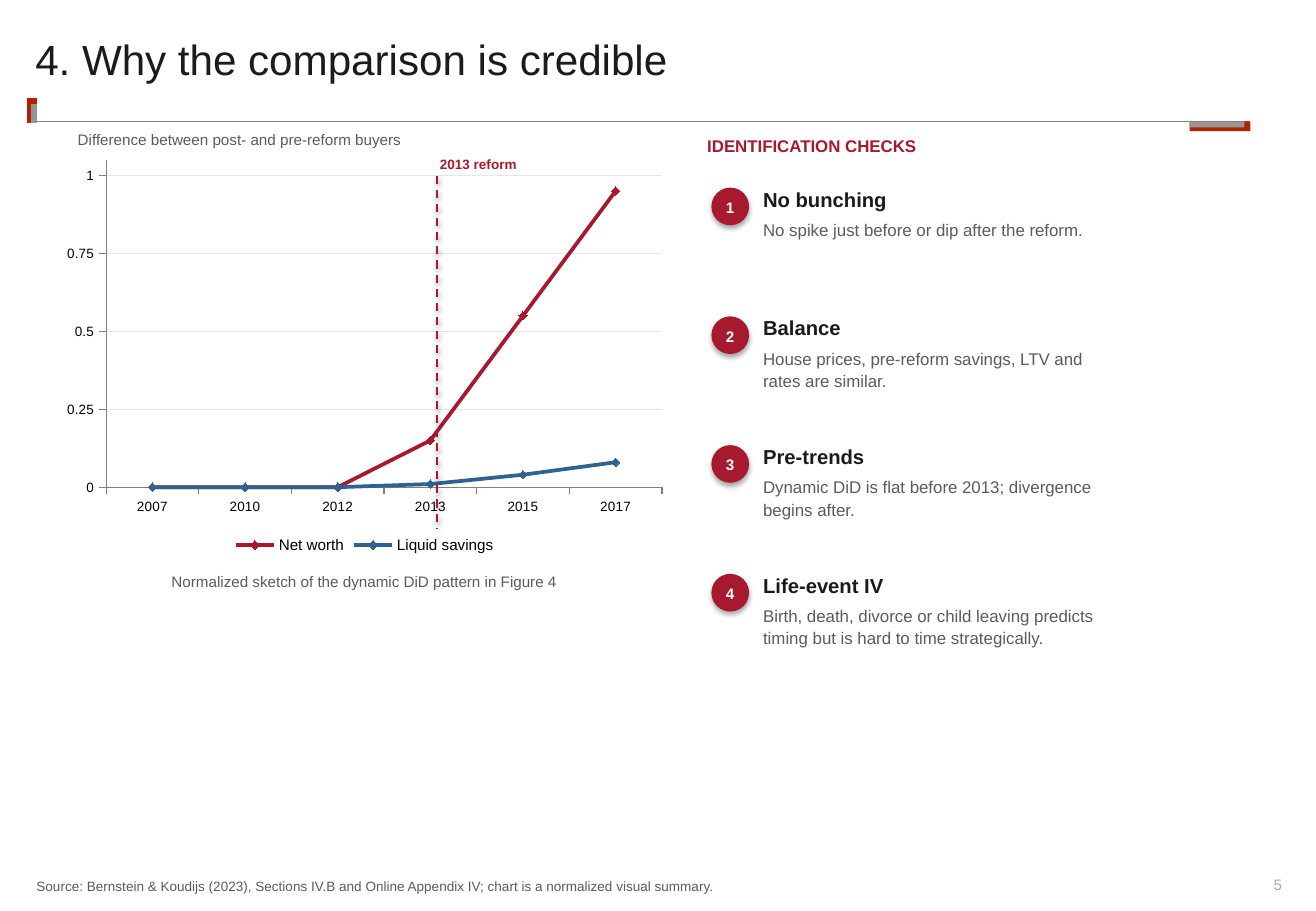
"""Build the slide on why the comparison is credible."""
from lxml import etree
from pptx import Presentation, util as u
from pptx.chart.data import CategoryChartData
from pptx.dml.color import RGBColor
from pptx.enum import chart as charts, dml, shapes, text
from pptx.oxml.ns import qn

SIZE = (10.83, 7.5)
FONT = "Arial"
CRIMSON, BLUE, INK, MUTED, WHITE = "A6192E", "2F638F", "1B1B1B", "5B5B5B", "FFFFFF"
RUST, SILVER, RULE, GRID = "B42100", "969696", "808080", "E6E6E6"
LEFT, CENTER, RIGHT = text.PP_ALIGN.LEFT, text.PP_ALIGN.CENTER, text.PP_ALIGN.RIGHT
TOP, BOTTOM = text.MSO_ANCHOR.TOP, text.MSO_ANCHOR.BOTTOM

# Positions are percentages of the slide's width and height.
LABELS = [
    ("4. Why the comparison is credible", (2.68, 4.27, 94.64, 8.93),
     dict(size=25, color=INK, spacing=0.9)),
    ("Normalized sketch of the dynamic DiD pattern in Figure 4",
     (5.72, 62.67, 43.86, 3.6), dict(size=9, align=CENTER)),
    ("Difference between post- and pre-reform buyers",
     (5.91, 14.13, 40.63, 2.67), dict(size=9)),
    ("2013 reform", (33.43, 16.93, 7.39, 2.67), dict(size=8, color=CRIMSON, bold=True)),
    ("IDENTIFICATION CHECKS", (53.74, 14.67, 31.86, 3.73),
     dict(size=10, color=CRIMSON, bold=True)),
    ("Source: Bernstein & Koudijs (2023), Sections IV.B and Online Appendix IV; "
     "chart is a normalized visual summary.",
     (2.77, 95.87, 80.79, 2.27), dict(size=8, anchor=BOTTOM)),
    ("5", (94.55, 96.13, 2.86, 2),
     dict(size=9, color="ADABA1", align=RIGHT, anchor=BOTTOM, spacing=1.0)),
]
CHECKS = [
    ("No bunching", "No spike just before or dip after the reform."),
    ("Balance", "House prices, pre-reform savings, LTV and rates are similar."),
    ("Pre-trends", "Dynamic DiD is flat before 2013; divergence begins after."),
    ("Life-event IV", "Birth, death, divorce or child leaving predicts timing "
                      "but is hard to time strategically."),
]
CHECK_TOP, CHECK_STEP = 20.27, 14.13
FRAME_LINES = [
    ((2.77, 13.33, 94.92, 13.33), RULE, 1),
    ((2.4, 13.47, 2.4, 10.8), RUST, 6),
    ((2.59, 13.47, 2.59, 11.47), SILVER, 3),
]
FRAME_BARS = [((90.4, 13.33, 4.62, 1.07), RUST), ((90.4, 13.33, 4.16, 0.67), SILVER)]
REFORM_LINE = (33.24, 19.33, 33.24, 58)
CHART_BOX = (4.16, 16.67, 47.09, 44.67)
YEARS = ["2007", "2010", "2012", "2013", "2015", "2017"]
SERIES = [
    ("Net worth", (0, 0, 0, 0.15, 0.55, 0.95), CRIMSON),
    ("Liquid savings", (0, 0, 0, 0.01, 0.04, 0.08), BLUE),
]


def rgb(value):
    """Turn a hex string into a colour."""
    return RGBColor.from_string(value)


def place(box):
    """Turn percentages of the slide into lengths."""
    return [u.Inches(round(share * SIZE[i % 2] / 100, 2)) for i, share in enumerate(box)]


def paint(fill, color):
    """Make a fill solid."""
    fill.solid()
    fill.fore_color.rgb = rgb(color)


def write(frame, words, size, color=MUTED, bold=False, align=LEFT, anchor=TOP, spacing=1.1):
    """Write one styled run in a text frame without margins."""
    frame.margin_left = frame.margin_top = frame.margin_right = frame.margin_bottom = 0
    frame.word_wrap = True
    frame.vertical_anchor = anchor
    paragraph = frame.paragraphs[0]
    paragraph.alignment, paragraph.line_spacing = align, spacing
    run = paragraph.add_run()
    run.text = words
    run.font.name, run.font.size, run.font.bold = FONT, u.Pt(size), bold
    run.font.color.rgb = rgb(color)


def add_label(slide, words, box, style):
    """Add a text box."""
    write(slide.shapes.add_textbox(*place(box)).text_frame, words, **style)


def set_shadow(shape, distance=0, opacity=0):
    """Replace the theme shadow with a downward one, or with none."""
    properties = shape._element.spPr
    for old in properties.findall(qn("a:effectLst")):
        properties.remove(old)
    effects = etree.SubElement(properties, qn("a:effectLst"))
    if opacity:
        shadow = etree.SubElement(effects, qn("a:outerShdw"), blurRad=str(u.Pt(3.1)),
                                  dist=str(u.Pt(distance)), dir="5400000", rotWithShape="0")
        color = etree.SubElement(shadow, qn("a:srgbClr"), val="000000")
        etree.SubElement(color, qn("a:alpha"), val=str(opacity * 1000))


def add_line(slide, ends, color, width):
    """Add a straight line without a shadow."""
    line = slide.shapes.add_connector(shapes.MSO_CONNECTOR.STRAIGHT, *place(ends))
    line.line.color.rgb, line.line.width = rgb(color), u.Pt(width)
    set_shadow(line)
    return line


def add_frame(slide):
    """Add the rule under the title and its corner marks."""
    for ends, color, width in FRAME_LINES:
        add_line(slide, ends, color, width)
    for box, color in FRAME_BARS:
        bar = slide.shapes.add_shape(shapes.MSO_SHAPE.RECTANGLE, *place(box))
        paint(bar.fill, color)
        bar.line.fill.background()
        bar.shadow.inherit = False


def add_chart(slide):
    """Add the line chart and the reform marker."""
    data = CategoryChartData()
    data.categories = YEARS
    for name, values, _ in SERIES:
        data.add_series(name, values)
    chart = slide.shapes.add_chart(
        charts.XL_CHART_TYPE.LINE_MARKERS, *place(CHART_BOX), data).chart
    chart.has_title = False
    chart.font.name, chart.font.size = FONT, u.Pt(18)
    chart.font.color.rgb = rgb("000000")
    chart.has_legend = True
    chart.legend.position = charts.XL_LEGEND_POSITION.BOTTOM
    chart.legend.include_in_layout = False
    chart.legend.font.size = u.Pt(9)
    for axis in (chart.category_axis, chart.value_axis):
        axis.tick_labels.font.size = u.Pt(8)
        axis.major_tick_mark = charts.XL_TICK_MARK.OUTSIDE
        axis.format.line.color.rgb = rgb(RULE)
    scale = chart.value_axis
    scale.minimum_scale, scale.maximum_scale, scale.major_unit = 0, 1.05, 0.25
    scale.major_gridlines.format.line.color.rgb = rgb(GRID)
    scale.major_gridlines.format.line.width = u.Pt(0.75)
    chart.plots[0].vary_by_categories = False
    for series, (_, _, color) in zip(chart.plots[0].series, SERIES):
        series.smooth = False
        series.format.line.color.rgb, series.format.line.width = rgb(color), u.Pt(2.2)
        series.marker.style, series.marker.size = charts.XL_MARKER_STYLE.DIAMOND, 5
        paint(series.marker.format.fill, color)
        series.marker.format.line.color.rgb = rgb(color)
    reform = add_line(slide, REFORM_LINE, CRIMSON, 1.2)
    reform.line.dash_style = dml.MSO_LINE.DASH
    set_shadow(reform, 1.6, 38)


def add_check(slide, number, heading, detail):
    """Add a numbered check with its heading and detail."""
    top = CHECK_TOP + (number - 1) * CHECK_STEP
    badge = slide.shapes.add_shape(
        shapes.MSO_SHAPE.OVAL, *place((54.11, top + 0.4, 2.77, 4)))
    paint(badge.fill, CRIMSON)
    badge.line.color.rgb, badge.line.width = rgb(CRIMSON), u.Pt(0.75)
    badge.shadow.inherit = False
    set_shadow(badge, 1.8, 35)
    write(badge.text_frame, str(number), 9, WHITE, True, CENTER, text.MSO_ANCHOR.MIDDLE)
    add_label(slide, heading, (57.99, top, 26.32, 2.93), dict(size=12, color=INK, bold=True))
    add_label(slide, detail, (57.99, top + 3.6, 25.67, 7.33), dict(size=10))


def main():
    """Build and save the presentation."""
    presentation = Presentation()
    presentation.slide_width, presentation.slide_height = map(u.Inches, SIZE)
    slide = presentation.slides.add_slide(presentation.slide_layouts[6])
    add_frame(slide)
    add_chart(slide)
    for words, box, style in LABELS:
        add_label(slide, words, box, style)
    for number, (heading, detail) in enumerate(CHECKS, 1):
        add_check(slide, number, heading, detail)
    presentation.save("out.pptx")


if __name__ == "__main__":
    main()
